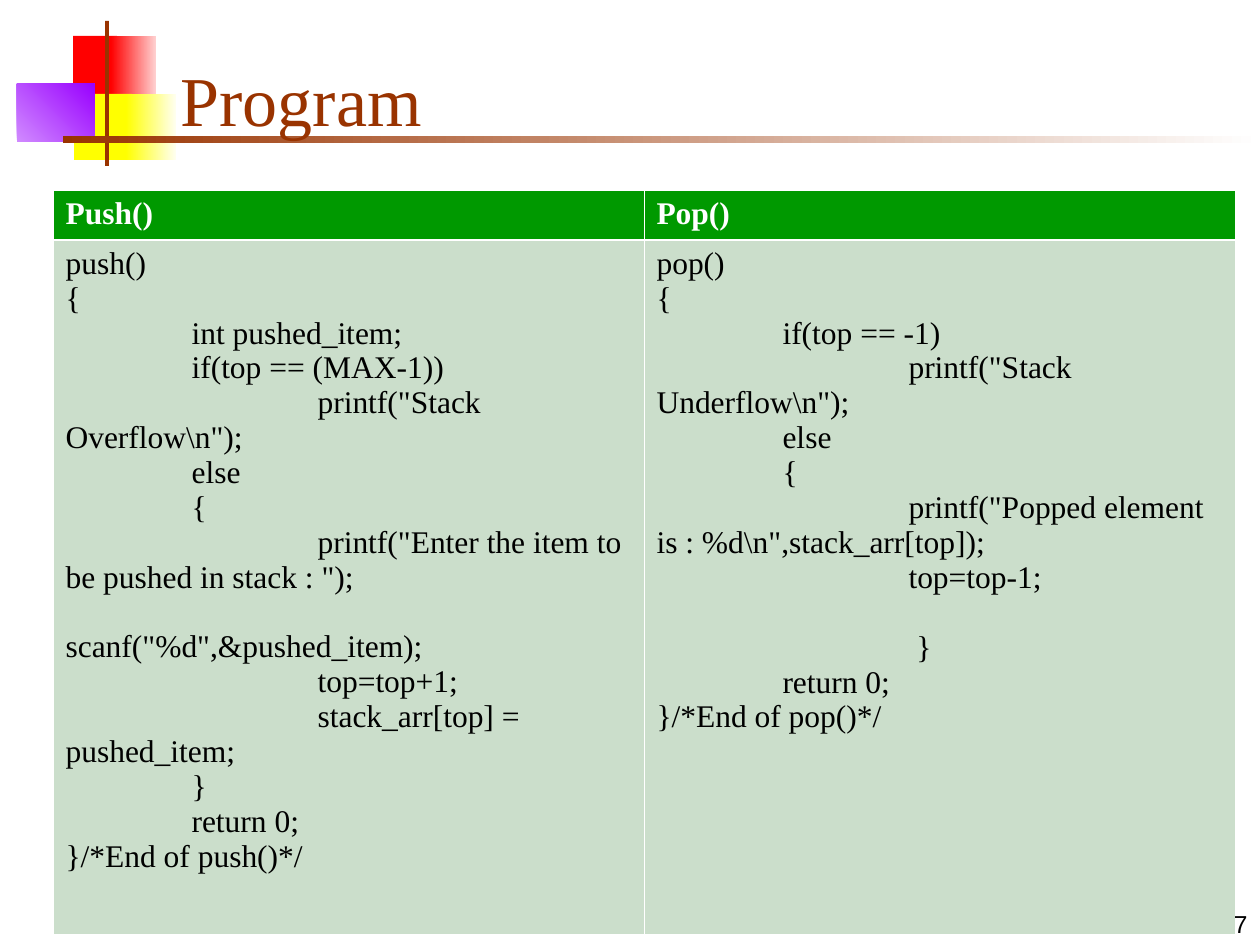
from lxml.etree import SubElement
from pptx import Presentation
from pptx.dml.color import RGBColor
from pptx.enum.shapes import MSO_SHAPE
from pptx.enum.text import MSO_ANCHOR, MSO_AUTO_SIZE, PP_ALIGN
from pptx.oxml.ns import qn
from pptx.util import Emu, Pt

EMU_PER_PX = 914400 / 126
RED = RGBColor(0xFF, 0x00, 0x00)
PINK = RGBColor(0xFF, 0xD1, 0xD1)
YELLOW = RGBColor(0xFF, 0xFF, 0x00)
CREAM = RGBColor(0xFF, 0xFF, 0xF0)
LILAC = RGBColor(0xD1, 0x8B, 0xFF)
VIOLET = RGBColor(0x99, 0x00, 0xFF)
BROWN = RGBColor(0x99, 0x33, 0x00)
GREEN = RGBColor(0x00, 0x99, 0x00)
PALE_GREEN = RGBColor(0xCB, 0xDE, 0xCB)
WHITE = RGBColor(0xFF, 0xFF, 0xFF)
BLACK = RGBColor(0x00, 0x00, 0x00)

PUSH_CODE = r'''push()
{
	int pushed_item;
	if(top == (MAX-1))
		printf("Stack Overflow\n");
	else
	{
		printf("Enter the item to be pushed in stack : ");
		scanf("%d",&pushed_item);
		top=top+1;
		stack_arr[top] = pushed_item;
	}
	return 0;
}/*End of push()*/'''

POP_CODE = r'''pop()
{
	if(top == -1)
		printf("Stack Underflow\n");
	else
	{
		printf("Popped element is : %d\n",stack_arr[top]);
		top=top-1;
		 }
	return 0;
}/*End of pop()*/'''


def px(*lengths):
    return [Emu(round(length * EMU_PER_PX)) for length in lengths]


def write_text(frame, text, size=18, color=BLACK, font="Times New Roman",
               bold=False, align=PP_ALIGN.LEFT):
    frame.word_wrap = True
    for index, line in enumerate(text.split("\n")):
        paragraph = frame.paragraphs[0] if index == 0 else frame.add_paragraph()
        paragraph.alignment = align
        if "\t" in line:
            tab_list = SubElement(paragraph._p.get_or_add_pPr(), qn("a:tabLst"))
            for stop in px(126, 252, 378):
                SubElement(tab_list, qn("a:tab"), pos=str(stop), algn="l")
        run = paragraph.add_run()
        run.text = line
        run.font.size = Pt(size)
        run.font.name = font
        run.font.bold = bold
        run.font.color.rgb = color


presentation = Presentation()
presentation.slide_width, presentation.slide_height = px(1260, 945)
slide = presentation.slides.add_slide(presentation.slide_layouts[5])

ornaments = [
    ((73, 36, 44, 65), RED, None, 0),
    ((111, 36, 45, 65), RED, PINK, 0),
    ((74, 94, 58, 66), YELLOW, None, 0),
    ((126, 94, 50, 66), YELLOW, CREAM, 0),
    ((17, 84, 78, 58), LILAC, VIOLET, 45),
    ((105, 21, 4, 145), BROWN, None, 0),
    ((63, 136, 1197, 7), BROWN, WHITE, 0),
]
for bounds, start, end, angle in ornaments:
    ornament = slide.shapes.add_shape(MSO_SHAPE.RECTANGLE, *px(*bounds))
    ornament.shadow.inherit = False
    ornament.line.fill.background()
    if end is None:
        ornament.fill.solid()
        ornament.fill.fore_color.rgb = start
    else:
        ornament.fill.gradient()
        ornament.fill.gradient_angle = angle
        for stop, color in zip(ornament.fill.gradient_stops, (start, end)):
            stop.color.rgb = color

title = slide.shapes.title
title.left, title.top, title.width, title.height = px(168, 32, 1073, 115)
title.text_frame.auto_size = MSO_AUTO_SIZE.NONE
title.text_frame.vertical_anchor = MSO_ANCHOR.BOTTOM
write_text(title.text_frame, "Program", size=40, color=BROWN)
slide.shapes._spTree.append(title._element)

program = slide.shapes.add_table(2, 2, *px(53, 190, 1182, 744)).table
for column in program.columns:
    column.width = px(591)[0]
for row, height in zip(program.rows, px(50, 694)):
    row.height = height

contents = [("Push()", "Pop()"), (PUSH_CODE, POP_CODE)]
row_styles = [
    (GREEN, WHITE, True, {"L": 0.45, "R": 0.45, "T": 0.45, "B": 1.47}),
    (PALE_GREEN, BLACK, False, {"L": 0.45, "R": 0.45, "T": 1.47, "B": 0.45}),
]
for row, texts, (fill, color, bold, borders) in zip(program.rows, contents, row_styles):
    for cell, text in zip(row.cells, texts):
        properties = cell._tc.get_or_add_tcPr()
        for side, width in borders.items():
            border = SubElement(properties, qn(f"a:ln{side}"), w=str(Pt(width)))
            border_fill = SubElement(border, qn("a:solidFill"))
            SubElement(border_fill, qn("a:srgbClr"), val=str(WHITE))
        cell.fill.solid()
        cell.fill.fore_color.rgb = fill
        write_text(cell.text_frame, text, color=color, bold=bold)

pop_body = program.cell(1, 1).text_frame
pop_body.paragraphs[8].space_before = Pt(20)

page_number = slide.shapes.add_textbox(*px(998, 882, 262, 63)).text_frame
page_number.vertical_anchor = MSO_ANCHOR.BOTTOM
write_text(page_number, "7", size=14, font="Arial", align=PP_ALIGN.RIGHT)

presentation.save("out.pptx")
